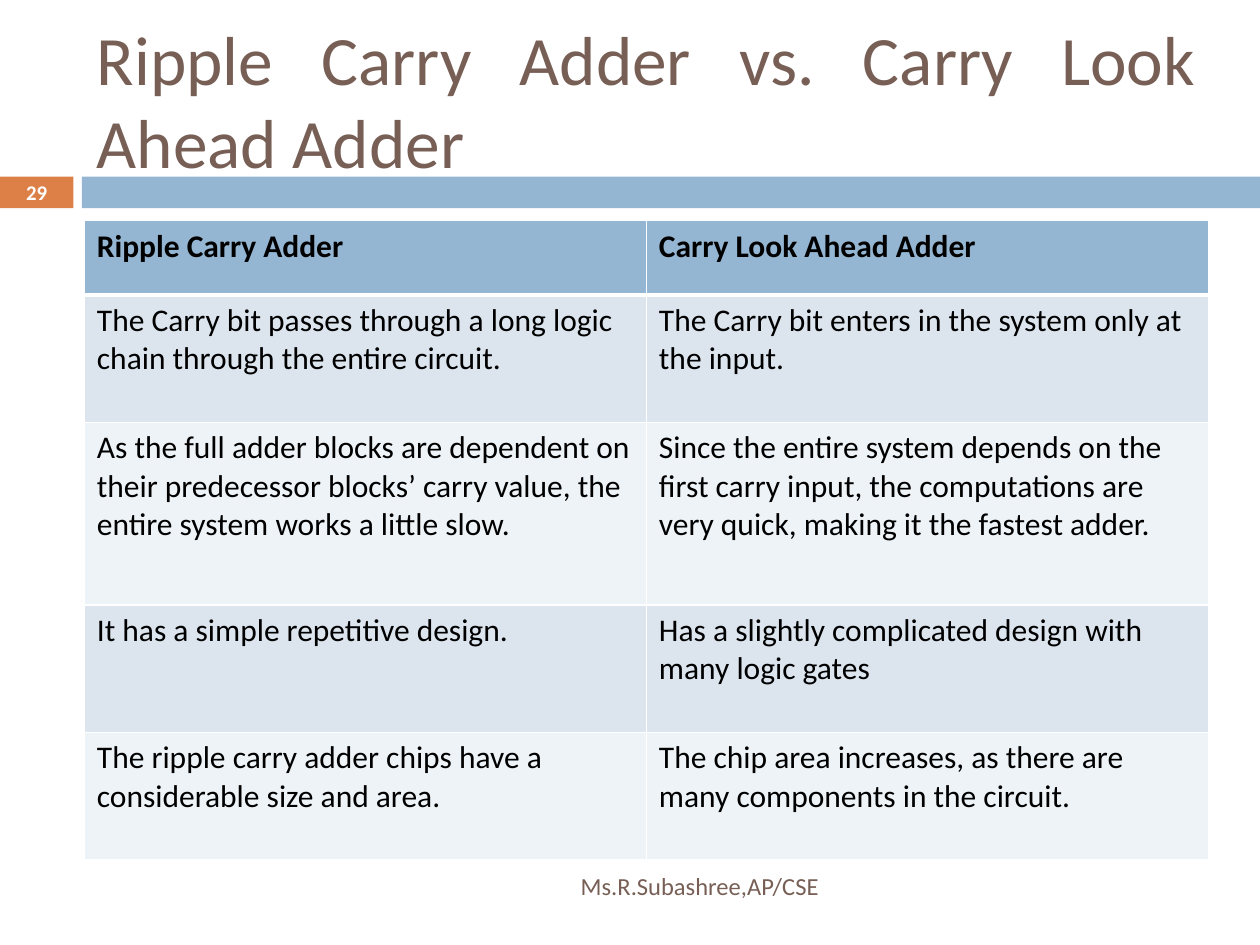
from lxml.etree import SubElement
from pptx import Presentation
from pptx.dml.color import RGBColor
from pptx.enum.shapes import MSO_SHAPE
from pptx.enum.text import MSO_ANCHOR, PP_ALIGN
from pptx.oxml.ns import qn
from pptx.util import Cm, Pt

HUES = {"blue": "94B6D2", "orange": "DD8047", "brown": "775F55", "white": "FFFFFF",
        "black": "000000", "dark": "DCE5EE", "light": "EEF3F7"}

ROWS = [
    ("Ripple Carry Adder", "Carry Look Ahead Adder"),
    ("The Carry bit passes through a long logic\nchain through the entire circuit.",
     "The Carry bit enters in the system only at the input."),
    ("As the full adder blocks are dependent on\n"
     "their predecessor blocks’ carry value, the\nentire system works a little slow.",
     "Since the entire system depends on the first carry input, "
     "the computations are very quick, making it the fastest adder."),
    ("It has a simple repetitive design.",
     "Has a slightly complicated design with many logic gates"),
    ("The ripple carry adder chips have a considerable size and area.",
     "The chip area increases, as there are many components in the circuit."),
]
HEIGHTS = [1.5, 2.57, 3.68, 2.57, 2.57]


def paint(item, hue):
    item.fill.solid()
    item.fill.fore_color.rgb = RGBColor.from_string(HUES[hue])


def write(frame, text, size=18, hue="black", bold=False, align=PP_ALIGN.LEFT):
    """Fill a text frame, one paragraph for each line of text."""
    frame.word_wrap = True
    frame.text = text
    for par in frame.paragraphs:
        par.alignment = align
        font = par.runs[0].font
        font.name, font.size, font.bold = "Calibri", Pt(size), bold
        font.color.rgb = RGBColor.from_string(HUES[hue])


def label(slide, box, text, inset=0.25, **style):
    frame = slide.shapes.add_textbox(*map(Cm, box)).text_frame
    frame.vertical_anchor = MSO_ANCHOR.MIDDLE
    frame.margin_left = frame.margin_right = Cm(inset)
    write(frame, text, **style)


def edge(cell, top, bottom):
    """Draw white cell borders, with widths in points."""
    props = cell._tc.get_or_add_tcPr()
    for spot, (side, width) in enumerate(
            [("L", 1), ("R", 1), ("T", top), ("B", bottom)]):
        line = SubElement(props, qn("a:ln" + side), w=str(Pt(width)))
        fill = SubElement(line, qn("a:solidFill"))
        SubElement(fill, qn("a:srgbClr"), val=HUES["white"])
        props.insert(spot, line)  # borders come before the fill


def band(slide, box):
    """Number tab and the long bar beside it."""
    left, top, width, height = box
    tab, gap = 1.48, 0.17
    start = tab + gap
    for x, wide, hue in [(left, tab, "orange"), (left + start, width - start, "blue")]:
        bar = slide.shapes.add_shape(MSO_SHAPE.RECTANGLE, *map(Cm, (x, top, wide, height)))
        bar.shadow.inherit = False
        bar.line.fill.background()
        paint(bar, hue)
    label(slide, (left, top, tab, height), "29", inset=0, size=11.9,
          hue="white", bold=True, align=PP_ALIGN.CENTER)


def grid(slide, box):
    """Comparison table."""
    left, top, width, height = map(Cm, box)
    table = slide.shapes.add_table(len(ROWS), 2, left, top, width, height).table
    for col in table.columns:
        col.width = width // 2
    for r, texts in enumerate(ROWS):
        table.rows[r].height = Cm(HEIGHTS[r])
        hue = "blue" if r == 0 else "dark" if r % 2 else "light"
        for c, text in enumerate(texts):
            cell = table.cell(r, c)
            paint(cell, hue)
            edge(cell, top=3 if r == 1 else 1, bottom=3 if r == 0 else 1)
            write(cell.text_frame, text, bold=r == 0)


def main():
    deck = Presentation()
    deck.slide_width, deck.slide_height = Cm(25.4), Cm(19.05)
    slide = deck.slides.add_slide(deck.slide_layouts[6])
    left, width = 1.7, 22.66
    band(slide, (0, 3.56, 25.4, 0.64))
    # Title
    label(slide, (left, 0.64, width, 2.74), "Ripple Carry Adder vs. Carry Look Ahead Adder",
          size=39.6, hue="brown", align=PP_ALIGN.JUSTIFY)
    grid(slide, (left, 4.45, width, sum(HEIGHTS)))
    # Footer
    label(slide, (left, 17.35, 15.06, 1.02), "Ms.R.Subashree,AP/CSE",
          size=14, hue="brown", align=PP_ALIGN.RIGHT)
    deck.save("out.pptx")


if __name__ == "__main__":
    main()
